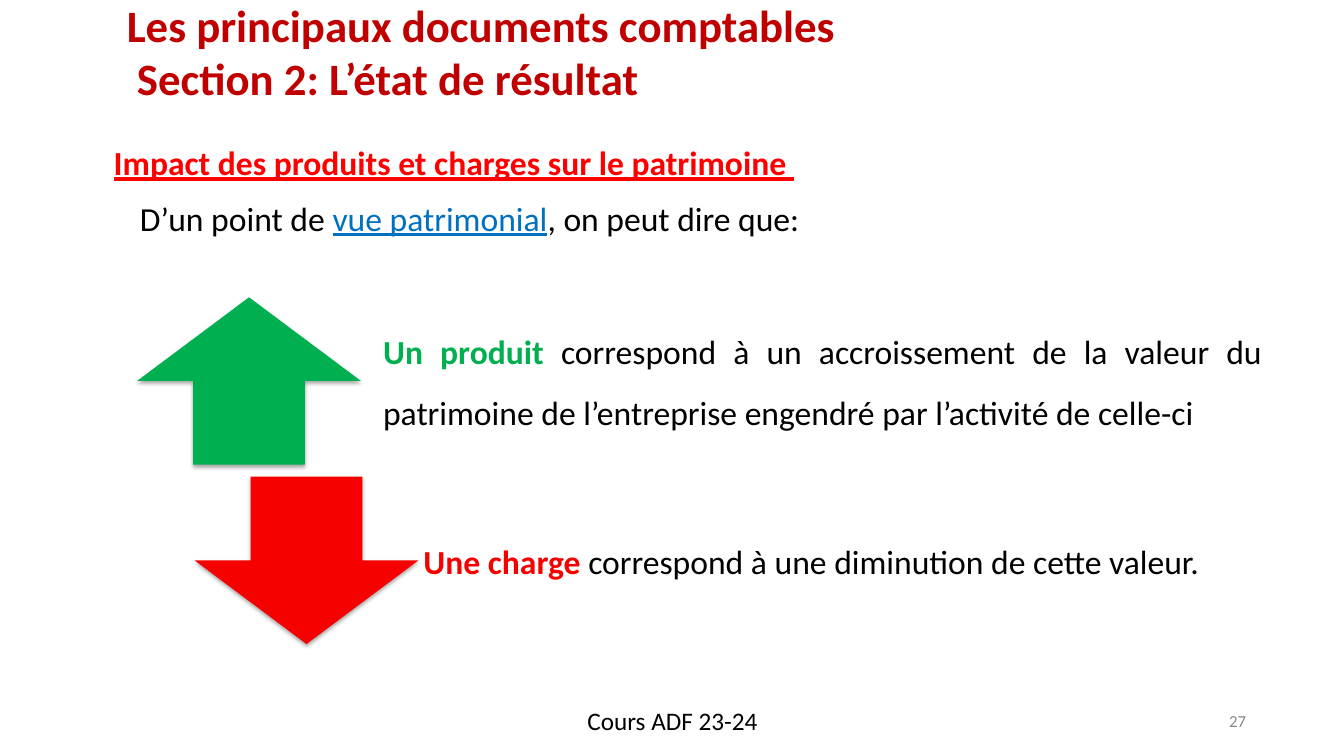
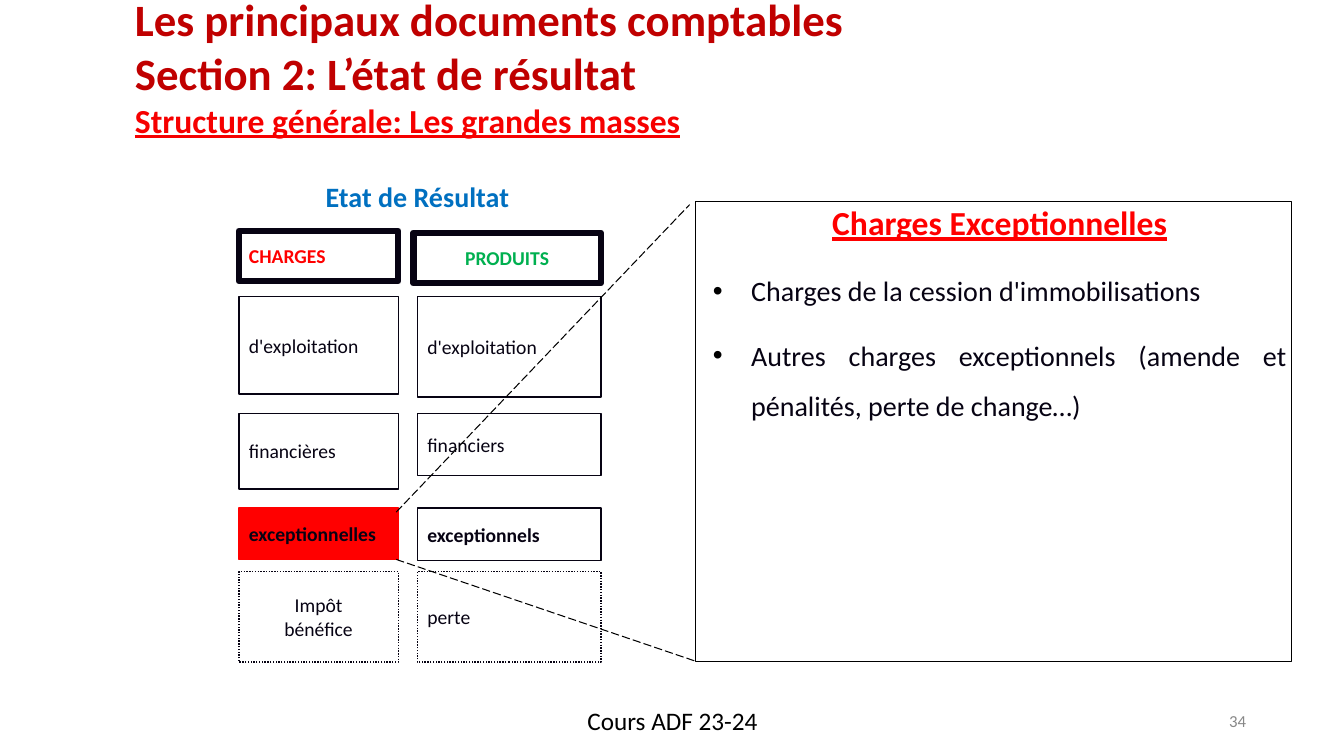
from dataclasses import dataclass
from typing import Optional

from lxml import etree
from pptx import Presentation
from pptx.dml.color import RGBColor
from pptx.enum.dml import MSO_LINE
from pptx.enum.shapes import MSO_CONNECTOR, MSO_SHAPE
from pptx.enum.text import MSO_ANCHOR, PP_ALIGN
from pptx.oxml.ns import qn
from pptx.util import Emu, Pt

LEFT, CENTER, RIGHT, JUSTIFY = PP_ALIGN.LEFT, PP_ALIGN.CENTER, PP_ALIGN.RIGHT, PP_ALIGN.JUSTIFY
TOP, MIDDLE = MSO_ANCHOR.TOP, MSO_ANCHOR.MIDDLE
RECTANGLE, UP_ARROW, DOWN_ARROW = MSO_SHAPE.RECTANGLE, MSO_SHAPE.UP_ARROW, MSO_SHAPE.DOWN_ARROW
DOTTED, LONG_DASH = MSO_LINE.ROUND_DOT, MSO_LINE.LONG_DASH
STRAIGHT = MSO_CONNECTOR.STRAIGHT

EMU_PER_PX = 9144  # 100 px to the inch
SLIDE_SIZE = (1333, 750)


@dataclass(frozen=True)
class Theme:
    font: str = "Calibri"
    black: str = "000000"
    ink: str = "070313"
    grey: str = "888888"
    title_red: str = "C00000"
    red: str = "FF0000"
    charge_red: str = "F60000"
    green: str = "00B050"
    blue: str = "0070C0"
    title: int = 32
    heading: int = 24
    bullet: int = 20
    footer: int = 18
    label: int = 14
    number: int = 12


THEME = Theme()


@dataclass(frozen=True)
class Run:
    text: str
    size: int
    color: str = THEME.black
    bold: bool = False
    underline: bool = False


@dataclass(frozen=True)
class Line:
    runs: tuple[Run, ...]
    align: PP_ALIGN = LEFT
    spacing: float = 1.0
    before: int = 0
    margin: int = 0
    indent: int = 0
    bullet: bool = False


@dataclass(frozen=True)
class Box:
    x: int
    y: int
    width: int
    height: int


@dataclass(frozen=True)
class Outline:
    width: float
    color: str = THEME.ink
    dash: Optional[MSO_LINE] = None


@dataclass(frozen=True)
class Entry:
    """One frame of the income statement."""
    box: Box
    lines: tuple[str, ...]
    color: str = THEME.ink
    bold: bool = False
    align: PP_ALIGN = LEFT
    outline: Outline = Outline(1)
    fill: Optional[str] = None


@dataclass(frozen=True)
class Effect:
    """An arrow and the statement beside it."""
    arrow: MSO_SHAPE
    color: str
    arrow_box: Box
    text_box: Box
    term: str
    text: str


def px(value: int) -> Emu:
    return Emu(value * EMU_PER_PX)


def place(box: Box) -> tuple[Emu, ...]:
    return px(box.x), px(box.y), px(box.width), px(box.height)


def write(shape, lines, anchor=TOP, insets=(10, 5, 10, 5)) -> None:
    """Fill a shape with paragraphs, run by run."""
    frame = shape.text_frame
    frame.word_wrap = True
    frame.vertical_anchor = anchor
    (frame.margin_left, frame.margin_top,
     frame.margin_right, frame.margin_bottom) = map(px, insets)
    for index, line in enumerate(lines):
        paragraph = frame.add_paragraph() if index else frame.paragraphs[0]
        paragraph.alignment = line.align
        paragraph.line_spacing = line.spacing
        paragraph.space_before = Pt(line.before)
        properties = paragraph._p.get_or_add_pPr()
        properties.set("marL", str(px(line.margin)))
        properties.set("indent", str(px(line.indent)))
        if line.bullet:
            color = etree.SubElement(properties, qn("a:buClr"))
            etree.SubElement(color, qn("a:srgbClr"), val=THEME.black)
            etree.SubElement(properties, qn("a:buFont"), typeface="Arial")
            etree.SubElement(properties, qn("a:buChar"), char="•")
        for part in line.runs:
            run = paragraph.add_run()
            run.text = part.text
            font = run.font
            font.name, font.size = THEME.font, Pt(part.size)
            font.bold, font.underline = part.bold, part.underline
            font.color.rgb = RGBColor.from_string(part.color)


def add_text(slide, box: Box, lines, anchor=TOP, insets=(10, 5, 10, 5)) -> None:
    write(slide.shapes.add_textbox(*place(box)), lines, anchor, insets)


def style_line(line, outline: Outline) -> None:
    line.color.rgb = RGBColor.from_string(outline.color)
    line.width = Pt(outline.width)
    if outline.dash is not None:
        line.dash_style = outline.dash


def add_figure(slide, kind, box: Box, fill: Optional[str] = None,
               outline: Optional[Outline] = None):
    shape = slide.shapes.add_shape(kind, *place(box))
    if fill:
        shape.fill.solid()
        shape.fill.fore_color.rgb = RGBColor.from_string(fill)
    else:
        shape.fill.background()
    if outline:
        style_line(shape.line, outline)
    else:
        shape.line.fill.background()
    shape.shadow.inherit = False
    return shape


def add_soft_shadow(shape) -> None:
    effects = shape._element.spPr.find(qn("a:effectLst"))
    shadow = etree.SubElement(effects, qn("a:outerShdw"), blurRad=str(Pt(3.1)),
                              dist=str(Pt(1.8)), dir="5400000", rotWithShape="0")
    color = etree.SubElement(shadow, qn("a:srgbClr"), val=THEME.black)
    etree.SubElement(color, qn("a:alpha"), val="35000")


def add_guide(slide, start: tuple[int, int], end: tuple[int, int]) -> None:
    connector = slide.shapes.add_connector(STRAIGHT, *map(px, start + end))
    style_line(connector.line, Outline(0.75, THEME.black, LONG_DASH))
    etree.SubElement(connector._element.spPr, qn("a:effectLst"))


def title_run(text: str, size: int = THEME.title) -> Run:
    return Run(text, size, THEME.title_red, bold=True)


def add_base_slide(presentation, number: int):
    """Blank slide with the shared footer and page number."""
    slide = presentation.slides.add_slide(presentation.slide_layouts[6])
    add_text(slide, Box(456, 695, 422, 40),
             [Line((Run("Cours ADF 23-24", THEME.footer),), CENTER)])
    add_text(slide, Box(1203, 700, 38, 30),
             [Line((Run(str(number), THEME.number, THEME.grey),), RIGHT)],
             MIDDLE, (5, 5, 5, 5))
    return slide


EFFECTS = (
    Effect(UP_ARROW, THEME.green, Box(136, 295, 222, 166), Box(361, 295, 910, 166),
           "Un produit ", "correspond à un accroissement de la valeur du patrimoine "
           "de l’entreprise engendré par l’activité de celle-ci"),
    Effect(DOWN_ARROW, THEME.charge_red, Box(193, 473, 222, 166), Box(401, 473, 932, 166),
           "Une charge ", "correspond à une diminution de cette valeur."),
)


def build_impact_slide(presentation) -> None:
    slide = add_base_slide(presentation, 27)
    add_text(slide, Box(116, -1, 967, 163), [
        Line((title_run("Les principaux documents comptables"),), spacing=0.9),
        Line((title_run(" Section 2: L’état de résultat "), title_run(" ", 36)), spacing=0.9),
    ])
    # Heading and introduction
    add_text(slide, Box(103, 136, 720, 50), [Line((
        Run("Impact des produits et charges sur le patrimoine ", THEME.heading,
            THEME.red, True, True),))])
    add_text(slide, Box(129, 191, 1000, 50), [Line((
        Run("D’un point de ", THEME.heading),
        Run("vue patrimonial", THEME.heading, THEME.blue, underline=True),
        Run(", on peut dire que:", THEME.heading)))], MIDDLE)
    # Arrows with their statements
    for effect in EFFECTS:
        add_soft_shadow(add_figure(slide, effect.arrow, effect.arrow_box, effect.color))
        add_text(slide, effect.text_box, [Line((
            Run(effect.term, THEME.heading, effect.color, True),
            Run(effect.text, THEME.heading)), JUSTIFY, 1.5)], MIDDLE, (19, 0, 19, 19))


HEAVY, DOTS = Outline(4.5), Outline(1, dash=DOTTED)
STATEMENT = (
    # Charges
    Entry(Box(237, 229, 158, 50), ("CHARGES",), THEME.red, True, outline=HEAVY),
    Entry(Box(237, 294, 158, 97), ("d'exploitation",)),
    Entry(Box(237, 410, 158, 75), ("financières",)),
    Entry(Box(237, 504, 158, 51), ("exceptionnelles",), bold=True,
          outline=Outline(1, THEME.red), fill=THEME.red),
    Entry(Box(237, 567, 158, 90), ("Impôt", "bénéfice"), align=CENTER, outline=DOTS),
    # Produits
    Entry(Box(410, 231, 186, 50), ("PRODUITS",), THEME.green, True, CENTER, HEAVY),
    Entry(Box(414, 294, 182, 100), ("d'exploitation",)),
    Entry(Box(414, 410, 182, 62), ("financiers",)),
    Entry(Box(414, 504, 182, 52), ("exceptionnels",), bold=True),
    Entry(Box(414, 567, 182, 90), ("perte",), outline=DOTS),
)
EXCEPTIONAL_CHARGES = (
    "Charges de la cession d'immobilisations",
    "Autres charges exceptionnels (amende et pénalités, perte de change…)",
)


def build_structure_slide(presentation) -> None:
    slide = add_base_slide(presentation, 34)
    add_text(slide, Box(124, -13, 1079, 155), [
        Line((title_run("Les principaux documents comptables"),)),
        Line((title_run("Section 2: L’état de résultat"),)),
        Line((Run("Structure générale: Les grandes masses", THEME.heading,
                  THEME.charge_red, True, True),)),
    ])
    # Detail panel
    panel = add_figure(slide, RECTANGLE, Box(690, 200, 591, 456),
                       outline=Outline(0.75, THEME.black))
    heading = Line((Run("Charges Exceptionnelles", THEME.heading, THEME.red, True, True),),
                   CENTER, 0.9, margin=50, indent=-38)
    bullets = [Line((Run(text, THEME.bullet, THEME.ink),), JUSTIFY, 1.5, 10, 50, -38, True)
               for text in EXCEPTIONAL_CHARGES]
    write(panel, [heading, *bullets], insets=(5, 5, 5, 5))
    # Income statement
    add_text(slide, Box(214, 175, 400, 40), [Line((
        Run("Etat de Résultat", THEME.bullet, THEME.blue, True),), CENTER)], MIDDLE)
    for entry in STATEMENT:
        frame = add_figure(slide, RECTANGLE, entry.box, entry.fill, entry.outline)
        write(frame, [Line((Run(text, THEME.label, entry.color, entry.bold),), entry.align)
                      for text in entry.lines], MIDDLE)
    # Guides from the highlighted frame to the panel
    add_guide(slide, (393, 508), (684, 203))
    add_guide(slide, (393, 555), (690, 656))


def main() -> None:
    presentation = Presentation()
    presentation.slide_width, presentation.slide_height = map(px, SLIDE_SIZE)
    build_impact_slide(presentation)
    build_structure_slide(presentation)
    presentation.save("out.pptx")


if __name__ == "__main__":
    main()
